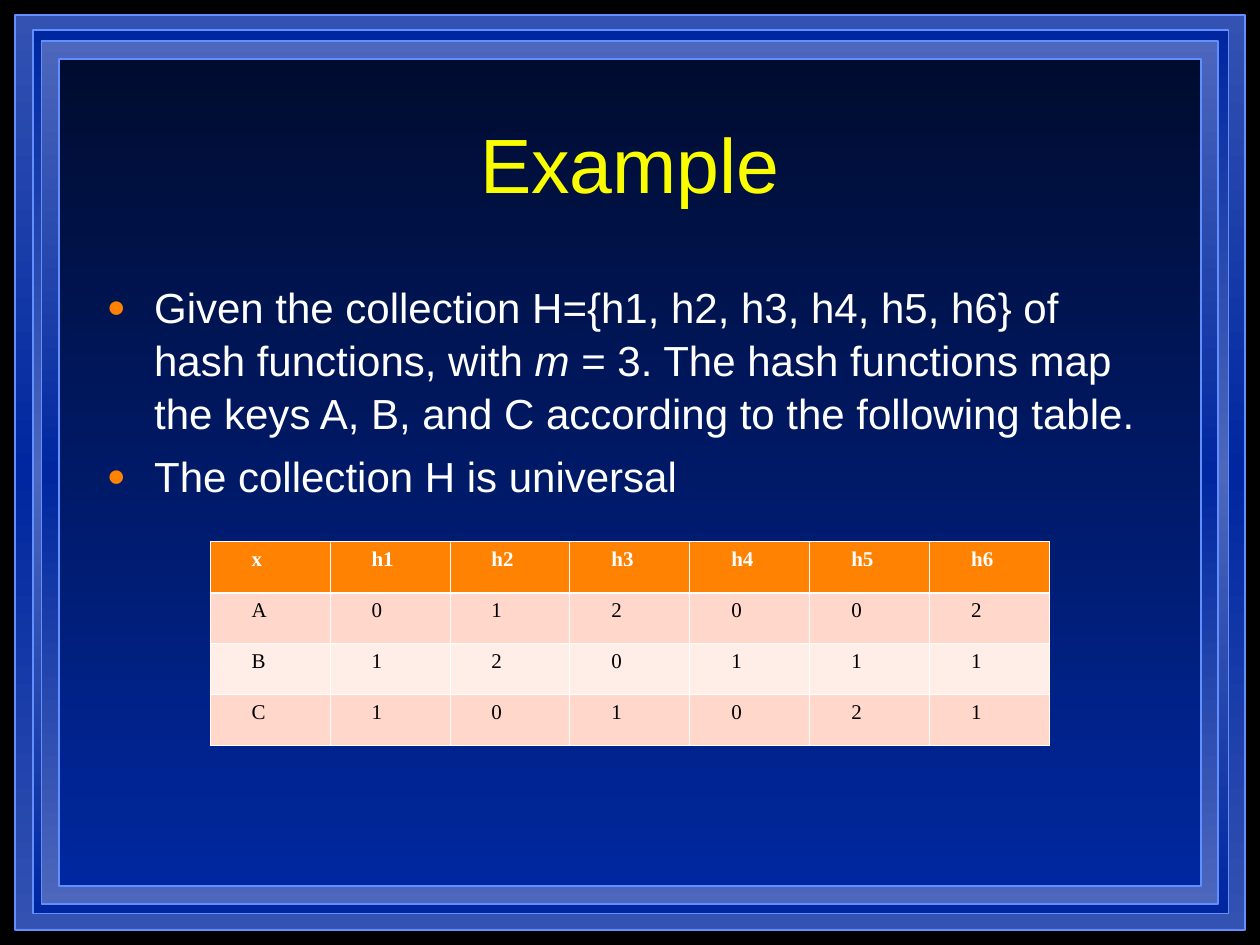
from copy import deepcopy
from dataclasses import dataclass

from lxml import etree
from pptx import Presentation
from pptx.dml.color import RGBColor
from pptx.enum.shapes import MSO_SHAPE
from pptx.enum.text import MSO_ANCHOR, PP_ALIGN
from pptx.oxml.ns import qn
from pptx.util import Pt

RECTANGLE = MSO_SHAPE.RECTANGLE
MIDDLE = MSO_ANCHOR.MIDDLE
TOP = MSO_ANCHOR.TOP
CENTER = PP_ALIGN.CENTER
LEFT = PP_ALIGN.LEFT

BLACK = RGBColor(0x00, 0x00, 0x00)
WHITE = RGBColor(0xFF, 0xFF, 0xFF)
YELLOW = RGBColor(0xFA, 0xFD, 0x00)
ORANGE = RGBColor(0xFF, 0x82, 0x03)
PEACH = RGBColor(0xFF, 0xD8, 0xCB)
PALE_PEACH = RGBColor(0xFF, 0xED, 0xE7)
NIGHT = RGBColor(0x00, 0x0C, 0x2F)
BLUE = RGBColor(0x00, 0x27, 0x9F)
MID_BLUE = RGBColor(0x33, 0x52, 0xB2)
SOFT_BLUE = RGBColor(0x4C, 0x67, 0xBC)
EDGE_BLUE = RGBColor(0x61, 0x8F, 0xFD)

SANS = "Arial"
SERIF = "Times New Roman"
INDENT = Pt(27)
CELL_INDENT = Pt(18)
THIN, THICK = Pt(0.45), Pt(1.47)


@dataclass(frozen=True)
class Frame:
    left: float
    top: float
    width: float
    height: float
    colors: tuple[RGBColor, ...]


@dataclass(frozen=True)
class Phrase:
    text: str
    italic: bool = False


FRAMES = (
    Frame(8.64, 8.64, 702.72, 522.72, (MID_BLUE, BLUE, MID_BLUE)),
    Frame(18.72, 17.28, 683.28, 504.72, (BLUE, SOFT_BLUE, BLUE)),
    Frame(23.76, 23.4, 672.48, 493.2, (SOFT_BLUE, BLUE, SOFT_BLUE)),
    Frame(33.84, 33.84, 652.32, 472.32, (NIGHT, BLUE)),
)

POINTS = (
    (
        Phrase("Given the collection H={h1, h2, h3, h4, h5, h6} of hash functions, with "),
        Phrase("m", italic=True),
        Phrase(" = 3. The hash functions map the keys A, B, and C according to the following table."),
    ),
    (Phrase("The collection H is universal"),),
)

HASHES = (
    ("x", "h1", "h2", "h3", "h4", "h5", "h6"),
    ("A", "0", "1", "2", "0", "0", "2"),
    ("B", "1", "2", "0", "1", "1", "1"),
    ("C", "1", "0", "1", "0", "2", "1"),
)


def draw_frame(slide, frame: Frame) -> None:
    panel = slide.shapes.add_shape(
        RECTANGLE, Pt(frame.left), Pt(frame.top), Pt(frame.width), Pt(frame.height)
    )
    panel.shadow.inherit = False
    panel.line.color.rgb = EDGE_BLUE
    panel.line.width = Pt(1)
    panel.fill.gradient()
    panel.fill.gradient_angle = 270
    stops = next(panel._element.iter(qn("a:gsLst")))
    for _ in frame.colors[2:]:
        stops.insert(1, deepcopy(stops[0]))
    last = len(frame.colors) - 1
    for index, (stop, color) in enumerate(zip(panel.fill.gradient_stops, frame.colors)):
        stop.color.rgb = color
        stop.position = index / last


def format_run(run, font: str, size: float, color: RGBColor) -> None:
    run.font.name = font
    run.font.size = Pt(size)
    run.font.color.rgb = color


def place_title(slide, text: str) -> None:
    title = slide.shapes.title
    slide.shapes._spTree.append(title._element)
    title.left, title.top, title.width, title.height = Pt(54), Pt(48), Pt(612), Pt(90)
    title.text_frame.text = text
    title.text_frame.vertical_anchor = MIDDLE
    heading = title.text_frame.paragraphs[0]
    heading.alignment = CENTER
    format_run(heading.runs[0], SANS, 44, YELLOW)


def add_bullet(paragraph) -> None:
    properties = paragraph._p.get_or_add_pPr()
    properties.set("marL", str(INDENT))
    properties.set("indent", str(-INDENT))
    bullet_color = etree.SubElement(properties, qn("a:buClr"))
    etree.SubElement(bullet_color, qn("a:srgbClr"), val=str(ORANGE))
    etree.SubElement(properties, qn("a:buSzPct"), val="75000")
    etree.SubElement(properties, qn("a:buFont"), typeface=SANS)
    etree.SubElement(properties, qn("a:buChar"), char="●")


def draw_points(slide, points: tuple[tuple[Phrase, ...], ...]) -> None:
    body = slide.shapes.add_textbox(Pt(54), Pt(156), Pt(612), Pt(324)).text_frame
    body.word_wrap = True
    for index, phrases in enumerate(points):
        paragraph = body.add_paragraph() if index else body.paragraphs[0]
        add_bullet(paragraph)
        paragraph.line_spacing = 1.05
        if index:
            paragraph.space_before = Pt(6)
        for phrase in phrases:
            run = paragraph.add_run()
            run.text = phrase.text
            format_run(run, SANS, 24, WHITE)
            run.font.italic = phrase.italic


def set_borders(cell, top: int, bottom: int) -> None:
    properties = cell._tc.get_or_add_tcPr()
    widths = (("a:lnL", THIN), ("a:lnR", THIN), ("a:lnT", top), ("a:lnB", bottom))
    for position, (side, width) in enumerate(widths):
        border = etree.Element(qn(side), w=str(width))
        fill = etree.SubElement(border, qn("a:solidFill"))
        etree.SubElement(fill, qn("a:srgbClr"), val=str(WHITE))
        properties.insert(position, border)


def draw_table(slide, rows: tuple[tuple[str, ...], ...]) -> None:
    row_height = Pt(29.16)
    column_width = Pt(68.57)
    column_count = len(rows[0])
    table = slide.shapes.add_table(
        len(rows), column_count, Pt(120), Pt(309.6),
        column_width * column_count, row_height * len(rows),
    ).table
    table.horz_banding = False
    for column in table.columns:
        column.width = column_width
    for row_index, values in enumerate(rows):
        table.rows[row_index].height = row_height
        is_header = row_index == 0
        band = ORANGE if is_header else PEACH if row_index % 2 else PALE_PEACH
        for column_index, value in enumerate(values):
            cell = table.cell(row_index, column_index)
            cell.text_frame.text = value
            cell.vertical_anchor = TOP
            cell.margin_left = cell.margin_right = Pt(5.76)
            cell.margin_top = cell.margin_bottom = Pt(3.6)
            cell.fill.solid()
            cell.fill.fore_color.rgb = band
            set_borders(
                cell,
                top=THICK if row_index == 1 else THIN,
                bottom=THICK if is_header else THIN,
            )
            entry = cell.text_frame.paragraphs[0]
            entry.alignment = LEFT
            entry._p.get_or_add_pPr().set("marL", str(CELL_INDENT))
            format_run(entry.runs[0], SERIF, 12, WHITE if is_header else BLACK)
            entry.runs[0].font.bold = is_header


def main() -> None:
    presentation = Presentation()
    presentation.slide_width = Pt(720)
    presentation.slide_height = Pt(540)
    slide = presentation.slides.add_slide(presentation.slide_layouts[5])
    slide.background.fill.solid()
    slide.background.fill.fore_color.rgb = BLACK
    for frame in FRAMES:
        draw_frame(slide, frame)
    place_title(slide, "Example")
    draw_points(slide, POINTS)
    draw_table(slide, HASHES)
    presentation.save("out.pptx")


if __name__ == "__main__":
    main()
